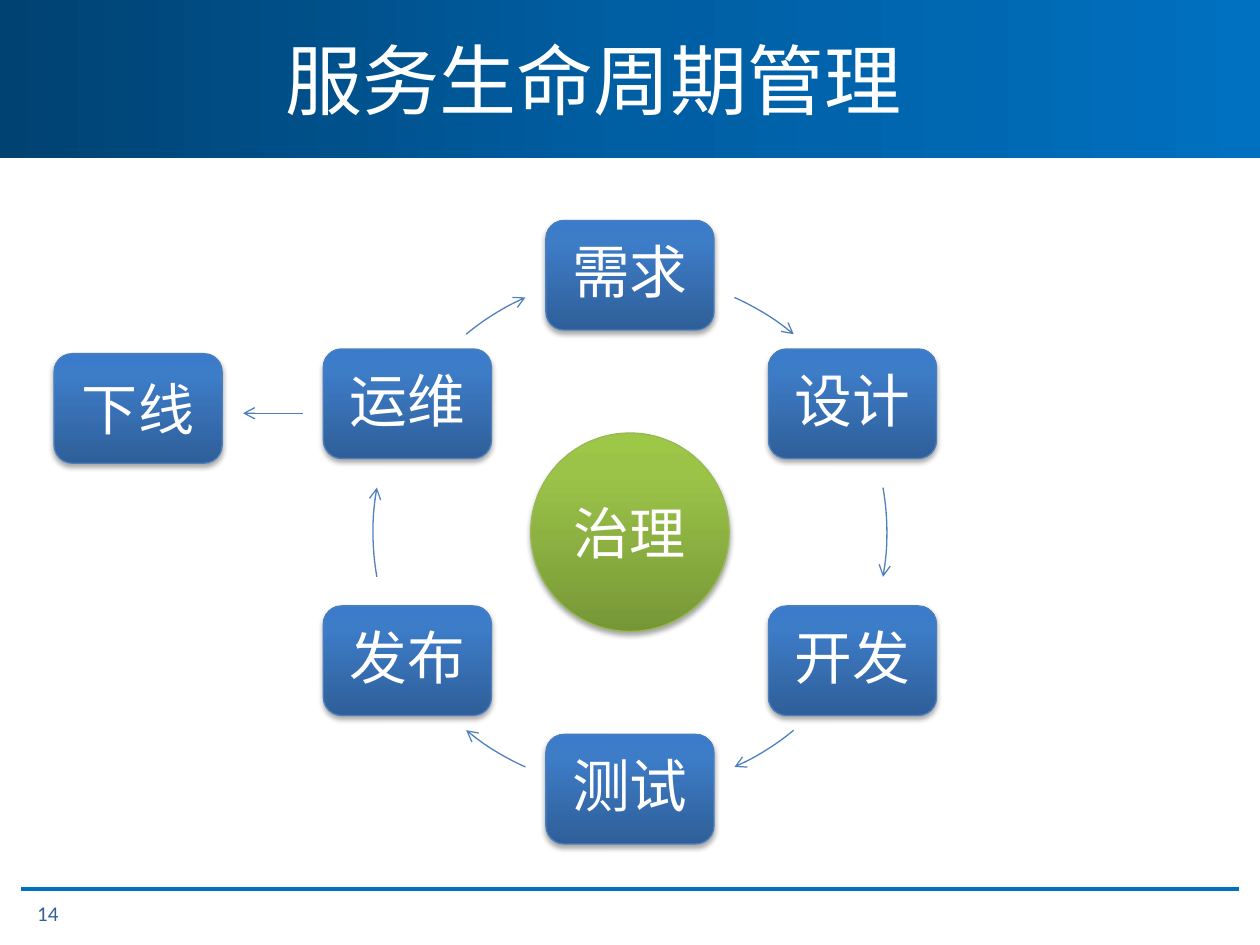
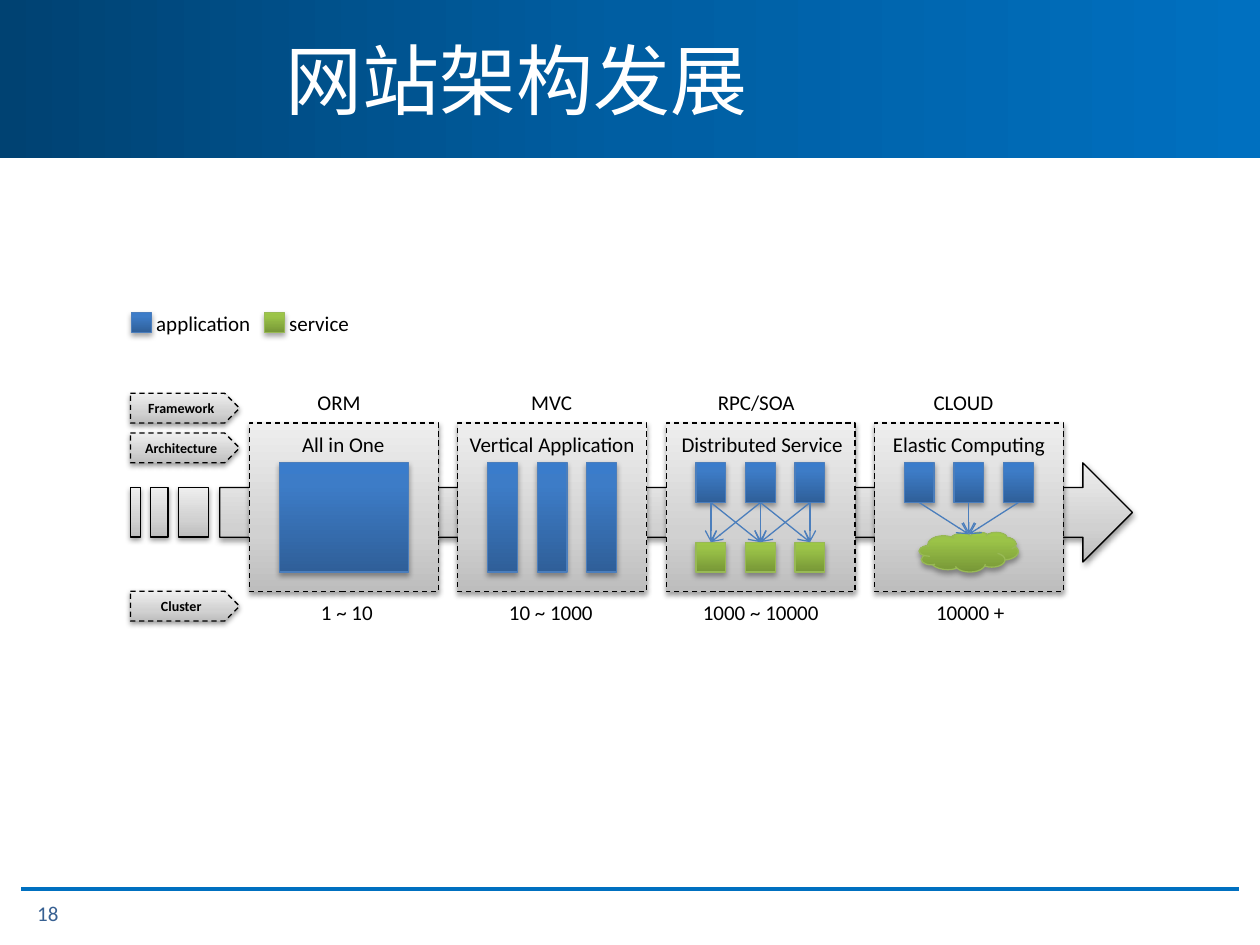
import math

import lxml.etree
import pptx
import pptx.dml.color
import pptx.enum.dml
import pptx.enum.shapes
import pptx.enum.text
import pptx.oxml.ns
import pptx.util

Cm = pptx.util.Cm
Pt = pptx.util.Pt
SHAPE = pptx.enum.shapes.MSO_SHAPE
ALIGN = pptx.enum.text.PP_ALIGN
qn = pptx.oxml.ns.qn

FONT = "Calibri"
WHITE, BLACK = "FFFFFF", "000000"
RULE, PAGE_NUMBER, CYCLE_ARROW = "0070C0", "376092", "4F81BD"
BAND_STOPS = [(0, "004272"), (50, "005EA2"), (100, "0070C0")]

# Each finish: gradient stops, outline, shadow opacity, shadow distance
BLUE = ([(0, "2F5F99"), (80, "3D7CC7"), (100, "3A7CCB")], "4B7EBC", 35, 1.8)
GREEN = ([(0, "779737"), (80, "9BC348"), (100, "9DC746")], "98B955", 35, 1.8)
GREY = ([(0, "BDBDBD"), (35, "D1D1D1"), (100, "EEEEEE")], BLACK, 38, 1.6)


def rgb(hex_color):
    return pptx.dml.color.RGBColor.from_string(hex_color)


def add_xml(parent, tag, **attributes):
    child = lxml.etree.SubElement(parent, qn(tag))
    for key, value in attributes.items():
        child.set(key, str(value))
    return child


def add_color(parent, hex_color):
    return add_xml(parent, "a:srgbClr", val=hex_color)


def fill_gradient(shape, stops, angle):
    shape.fill.gradient()
    shape.fill.gradient_angle = angle
    stop_list = shape.element.spPr.find(qn("a:gradFill")).find(qn("a:gsLst"))
    for stop in list(stop_list):
        stop_list.remove(stop)
    for position, color in stops:
        add_color(add_xml(stop_list, "a:gs", pos=position * 1000), color)


def drop_shadow(shape, opacity, distance):
    shape.shadow.inherit = False
    effects = shape.element.spPr.find(qn("a:effectLst"))
    shadow = add_xml(effects, "a:outerShdw", blurRad=Pt(3.1), dist=Pt(distance),
                     dir=5400000, rotWithShape=0)
    add_xml(add_color(shadow, BLACK), "a:alpha", val=opacity * 1000)


def draw_line(shape, color, width=0.75, arrow=False):
    shape.line.color.rgb = rgb(color)
    shape.line.width = Pt(width)
    if arrow:
        add_xml(shape.element.spPr.find(qn("a:ln")), "a:tailEnd", type="arrow")


class Deck:
    """Holds the shared style and the slide being filled; lengths are in cm."""

    def __init__(self):
        self.prs = pptx.Presentation()
        self.prs.slide_width, self.prs.slide_height = Cm(25.4), Cm(19.05)
        self.shapes = None

    def start_slide(self, title, number):
        slide = self.prs.slides.add_slide(self.prs.slide_layouts[5])
        self.shapes = slide.shapes
        band = self.shapes.add_shape(SHAPE.RECTANGLE, 0, 0, Cm(25.4), Cm(3.18))
        fill_gradient(band, BAND_STOPS, 0)
        band.line.fill.background()
        band.shadow.inherit = False
        self.connector(0.43, 17.93, 24.97, 17.93, RULE, 2.25, arrow=False)

        heading = self.shapes.title
        self.shapes.element.append(heading.element)  # above the band
        heading.left, heading.top = Cm(5.51), Cm(0)
        heading.width, heading.height = Cm(19.89), Cm(3.18)
        self.add_text(heading, title, 44, WHITE, ALIGN.LEFT)
        self.label(number, 0.5, 17.9, 2.8, 1.02, PAGE_NUMBER, wrap=True)

    def add_text(self, shape, text, size, color, align=ALIGN.CENTER, bold=False,
                 wrap=True):
        frame = shape.text_frame
        frame.auto_size = pptx.enum.text.MSO_AUTO_SIZE.NONE
        frame.word_wrap = wrap
        frame.vertical_anchor = pptx.enum.text.MSO_ANCHOR.MIDDLE
        paragraph = frame.paragraphs[0]
        paragraph.alignment = align
        run = paragraph.add_run()
        run.text = text
        run.font.name, run.font.size, run.font.bold = FONT, Pt(size), bold
        run.font.color.rgb = rgb(color)
        return paragraph

    def label(self, text, left, top, width, height=0.77, color=BLACK, wrap=False):
        box = self.shapes.add_textbox(Cm(left), Cm(top), Cm(width), Cm(height))
        self.add_text(box, text, 12, color, ALIGN.LEFT, wrap=wrap)

    def block(self, kind, left, top, width, height, finish, dashed=False):
        stops, outline, opacity, distance = finish
        shape = self.shapes.add_shape(kind, Cm(left), Cm(top), Cm(width), Cm(height))
        fill_gradient(shape, stops, 90)
        draw_line(shape, outline)
        if dashed:
            shape.line.dash_style = pptx.enum.dml.MSO_LINE.DASH
        drop_shadow(shape, opacity, distance)
        return shape

    def connector(self, x1, y1, x2, y2, color=BLUE[1], width=0.75, arrow=True):
        link = self.shapes.add_connector(
            pptx.enum.shapes.MSO_CONNECTOR.STRAIGHT, Cm(x1), Cm(y1), Cm(x2), Cm(y2))
        draw_line(link, color, width, arrow)
        add_xml(link.element.spPr, "a:effectLst")

    def arc_arrow(self, center_x, center_y, radius, start, end):
        """Arrow along a circle, between angles clockwise from the top."""
        arc = self.shapes.add_shape(SHAPE.ARC, Cm(center_x - radius),
                                    Cm(center_y - radius), Cm(2 * radius), Cm(2 * radius))
        for index, angle in enumerate((start, end)):
            arc.adjustments[index] = (angle - 90) % 360 * 0.6  # 60000ths over 100000
        arc.fill.background()
        draw_line(arc, CYCLE_ARROW, arrow=True)
        arc.shadow.inherit = False


def build_lifecycle(deck):
    deck.start_slide("服务生命周期管理", "14")
    center_x, center_y, radius = 12.7, 10.73, 5.18
    width, height = 3.39, 2.21
    stages = ["需求", "设计", "开发", "测试", "发布", "运维"]
    spans = [(24, 39.6), (80, 100), (140.4, 156)]
    spans += [(start + 180, end + 180) for start, end in spans]
    for index, (stage, (start, end)) in enumerate(zip(stages, spans)):
        angle = math.radians(index * 60)
        left = center_x + radius * math.sin(angle) - width / 2
        top = center_y - radius * math.cos(angle) - height / 2
        node = deck.block(SHAPE.ROUNDED_RECTANGLE, left, top, width, height, BLUE)
        deck.add_text(node, stage, 33, WHITE).line_spacing = 0.9
        deck.arc_arrow(center_x, center_y, radius, start, end)

    governance = deck.block(SHAPE.OVAL, 10.7, 8.73, 4, 4, GREEN)
    deck.add_text(governance, "治理", 32, WHITE)
    retirement = deck.block(SHAPE.ROUNDED_RECTANGLE, 1.09, 7.13, width, height, BLUE)
    deck.add_text(retirement, "下线", 32, WHITE)
    deck.connector(6.1, 8.33, 4.9, 8.33)


def build_architecture(deck):
    deck.start_slide("网站架构发展", "18")
    deck.block(SHAPE.RIGHT_ARROW, 4.43, 9.33, 18.4, 2, GREY)
    panels = [5.03 + 4.2 * index for index in range(4)]
    for left in panels:
        deck.block(SHAPE.RECTANGLE, left, 8.53, 3.81, 3.4, GREY, dashed=True)
    all_in_one, vertical, distributed, elastic = panels

    app_top, service_top, unit = 9.33, 10.93, 0.6

    def three_blocks(panel, top, height, finish):
        """Draws a row of three and returns the centres across."""
        lefts = [panel + unit + step for step in range(3)]
        for left in lefts:
            deck.block(SHAPE.RECTANGLE, left, top, unit, height, finish)
        return [left + unit / 2 for left in lefts]

    deck.block(SHAPE.RECTANGLE, all_in_one + unit, app_top, 2.6, 2.2, BLUE)
    three_blocks(vertical, app_top, 2.2, BLUE)

    app_bottom = app_top + 0.8
    apps = three_blocks(distributed, app_top, 0.8, BLUE)
    services = three_blocks(distributed, service_top, unit, GREEN)
    for i, app in enumerate(apps):
        for j, service in enumerate(services):
            if abs(i - j) <= 1:
                deck.connector(app, app_bottom, service, service_top)

    apps = three_blocks(elastic, app_top, 0.8, BLUE)
    deck.block(SHAPE.CLOUD, elastic + 0.9, 10.73, 2, 0.8, GREEN)
    for app in apps:
        deck.connector(app, app_bottom, apps[1], 10.77)

    # Each row: top, then text, left and width for every panel
    captions = [
        (7.72, [("ORM", 6.15, 1.4), ("MVC", 10.46, 1.35),
                ("RPC/SOA", 14.22, 2.08), ("CLOUD", 18.57, 1.75)]),
        (8.56, [("All in One", 5.84, 2.18), ("Vertical Application", 9.22, 3.89),
                ("Distributed Service", 13.49, 3.78), ("Elastic Computing", 17.75, 3.61)]),
        (11.96, [("1 ~ 10", 6.22, 1.57), ("10 ~ 1000", 10.01, 2.24),
                 ("1000 ~ 10000", 13.92, 2.9), ("10000 +", 18.62, 1.9)]),
    ]
    for top, row in captions:
        for text, left, width in row:
            deck.label(text, left, top, width)

    for text, left, width, finish in [("application", 2.65, 2.44, BLUE),
                                      ("service", 5.33, 1.73, GREEN)]:
        deck.block(SHAPE.RECTANGLE, left, 6.3, 0.4, 0.4, finish)
        deck.label(text, left + 0.25, 6.12, width)

    for text, top in [("Framework", 7.93), ("Architecture", 8.73), ("Cluster", 11.92)]:
        tag = deck.block(SHAPE.PENTAGON, 2.63, top, 2.2, 0.6, GREY, dashed=True)
        deck.add_text(tag, text, 8, BLACK, bold=True)
    for left, width in [(2.63, 0.2), (3.03, 0.36), (3.6, 0.6)]:
        deck.block(SHAPE.RECTANGLE, left, 9.83, width, 1, GREY)


def main():
    deck = Deck()
    build_lifecycle(deck)
    build_architecture(deck)
    deck.prs.save("out.pptx")


if __name__ == "__main__":
    main()
